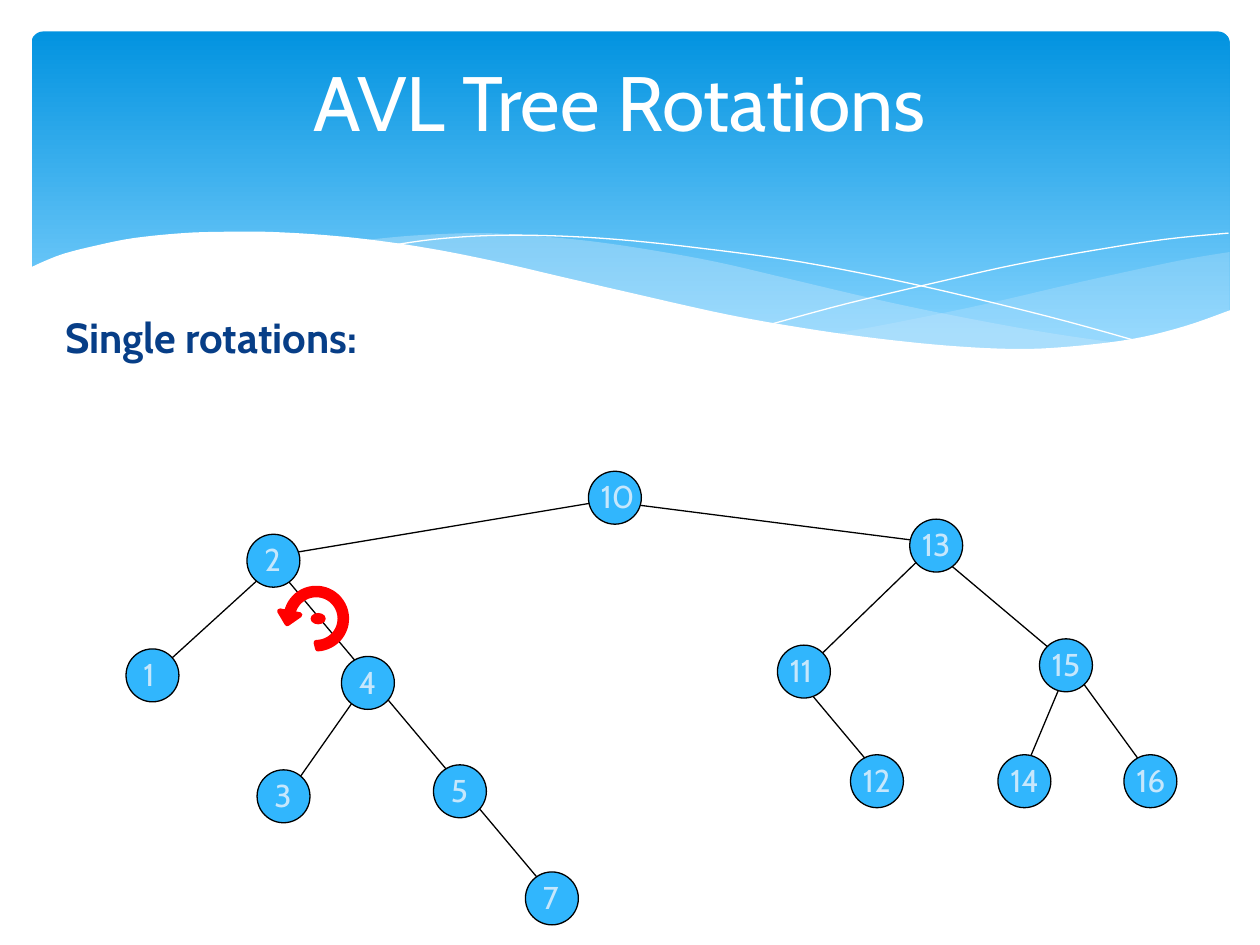
from math import cos, radians, sin

from lxml.etree import SubElement
from pptx import Presentation
from pptx.dml.color import RGBColor
from pptx.enum.shapes import MSO_CONNECTOR as CONN, MSO_SHAPE as SHAPE
from pptx.enum.text import MSO_ANCHOR as ANCHOR, PP_ALIGN as ALIGN
from pptx.oxml.ns import qn
from pptx.util import Inches, Pt

WHITE = RGBColor(0xFF, 0xFF, 0xFF)
BLACK = RGBColor(0x00, 0x00, 0x00)
RED = RGBColor(0xFF, 0x00, 0x00)
NAVY = RGBColor(0x07, 0x3E, 0x87)
SKY = RGBColor(0x31, 0xB6, 0xFD)
PALE = RGBColor(0xC6, 0xE7, 0xFC)
BANNER_TOP = RGBColor(0x02, 0x93, 0xE0)
BANNER_END = RGBColor(0x83, 0xD3, 0xFE)
FONT = "Cabin"

# Text boxes: text, box, format
TITLE = ("AVL Tree Rotations", (0.67, 0.17, 8.5, 1.25),
         dict(size=Pt(44), color=WHITE))
SUBTITLE = ("Single rotations:", (0.42, 2.42, 3.83, 0.67),
            dict(size=Pt(24), color=NAVY, bold=True))

# Tree: key -> left, top of its circle
NODE = 0.42
NODES = {
    10: (4.67, 3.74), 13: (7.22, 4.12), 15: (8.25, 5.07), 2: (1.96, 4.24),
    11: (6.17, 5.12), 1: (1, 5.15), 4: (2.71, 5.21), 5: (3.44, 6.07),
    12: (6.75, 5.99), 14: (7.92, 5.99), 16: (8.92, 5.99), 3: (2.04, 6.11),
    7: (4.17, 6.92),
}
EDGES = [
    ((2.92, 5.4), (2.33, 6.24)),   # 4 - 3
    ((2.17, 4.49), (1.17, 5.4)),   # 2 - 1
    ((8.5, 5.29), (9.17, 6.21)),   # 15 - 16
    ((6.33, 5.38), (7, 6.18)),     # 11 - 12
    ((4.92, 3.99), (7.5, 4.32)),   # 10 - 13
    ((2.25, 4.4), (4.89, 3.96)),   # 2 - 10
    ((8.5, 5.24), (8.08, 6.24)),   # 15 - 14
    ((2.11, 4.4), (4.42, 7.15)),   # 2 - 4 - 5 - 7
    ((7.42, 4.32), (6.5, 5.21)),   # 13 - 11
    ((7.42, 4.38), (8.5, 5.29)),   # 13 - 15
]

# Banner waves: each curve is smoothed through its points
RIGHT_SWELL = [
    [(9.76, 2), (9.35, 2.07), (8.61, 2.23), (7.79, 2.42), (7.06, 2.57), (6.61, 2.65)],
    [(6.61, 2.65), (7.05, 2.71), (7.57, 2.76), (8.03, 2.78), (8.54, 2.76),
     (8.97, 2.7), (9.35, 2.62), (9.76, 2.47)],
]
LONG_SWELL = [
    [(8.93, 2.73), (8.37, 2.65), (7.75, 2.54), (7.06, 2.4), (6.29, 2.22),
     (5.69, 2.08), (5.14, 1.98), (4.65, 1.91), (4.2, 1.87), (3.8, 1.85),
     (3.28, 1.87), (2.86, 1.91)],
    [(2.86, 1.91), (3.42, 1.99), (4.04, 2.11), (4.49, 2.22), (5.3, 2.4),
     (6.01, 2.55), (6.65, 2.66), (7.22, 2.74), (7.73, 2.77), (8.18, 2.78),
     (8.57, 2.77), (8.93, 2.73)],
]
FALLING_LINE = [[(3.09, 1.95), (3.44, 1.9), (3.87, 1.87), (4.33, 1.87), (4.89, 1.9),
                 (5.56, 1.97), (6.36, 2.08), (7.27, 2.26), (8.31, 2.51), (9.07, 2.72)]]
RISING_LINE = [[(6.13, 2.57), (6.72, 2.41), (7.48, 2.23), (8.06, 2.1), (8.66, 1.99),
                (9.24, 1.9), (9.75, 1.85)]]
WHITE_WAVE = [
    [(9.77, 2.46), (9.4, 2.59), (8.99, 2.69), (8.5, 2.75), (8.09, 2.77), (7.61, 2.75),
     (7.08, 2.7), (6.48, 2.62), (5.79, 2.5), (5.03, 2.33), (4.47, 2.2), (3.91, 2.07),
     (3.4, 1.97), (2.92, 1.9), (2.5, 1.86), (2.11, 1.84), (1.77, 1.84), (1.46, 1.85),
     (1.06, 1.89), (0.76, 1.95), (0.52, 2.01), (0.36, 2.07), (0.23, 2.13)],
    [(0.23, 3.29), (9.77, 3.29)],
]
WAVES = [  # curves, fill, opacity in percent (no fill: white hairline)
    (RIGHT_SWELL, PALE, 29), (LONG_SWELL, PALE, 40),
    (FALLING_LINE, None, 100), (RISING_LINE, None, 100), (WHITE_WAVE, WHITE, 100),
]

# Rotation arrow
PIVOT = (2.51, 4.91)
OUTER, INNER = 0.24, 0.19
ARROW_HEAD = [(2.22, 4.85), (2.28, 4.95), (2.38, 4.88)]


def smooth(pts, steps=5):
    """Catmull-Rom curve through pts."""
    ext = [pts[0], *pts, pts[-1]]
    out = [pts[0]]
    for a, b, c, d in zip(ext, ext[1:], ext[2:], ext[3:]):
        for t in (k / steps for k in range(1, steps + 1)):
            out.append(tuple(
                (2 * q + (r - p) * t + (2 * p - 5 * q + 4 * r - s) * t ** 2
                 + (3 * q - p - 3 * r + s) * t ** 3) / 2
                for p, q, r, s in zip(a, b, c, d)))
    return out


def arc(radius, start, end, steps=40):
    angles = [radians(start + (end - start) * k / steps) for k in range(steps + 1)]
    return [(PIVOT[0] + radius * cos(a), PIVOT[1] + radius * sin(a)) for a in angles]


def style(sp, fill, line=None, width=0.75):
    sp.shadow.inherit = False
    if fill is None:
        sp.fill.background()
    else:
        sp.fill.solid()
        sp.fill.fore_color.rgb = fill
    if line is None:
        sp.line.fill.background()
    else:
        sp.line.color.rgb = line
        sp.line.width = Pt(width)


def add_outline(shapes, pts, close):
    pts = [(Inches(x), Inches(y)) for x, y in pts]
    builder = shapes.build_freeform(*pts[0])
    builder.add_line_segments(pts[1:], close=close)
    return builder.convert_to_shape()


def add_text(shapes, text, box, fmt, align=ALIGN.LEFT, anchor=ANCHOR.TOP):
    tf = shapes.add_textbox(*map(Inches, box)).text_frame
    tf.word_wrap = True
    tf.vertical_anchor = anchor
    p = tf.paragraphs[0]
    p.alignment = align
    r = p.add_run()
    r.text = text
    r.font.name = FONT
    for name, value in fmt.items():
        if name == "color":
            r.font.color.rgb = value
        else:
            setattr(r.font, name, value)


prs = Presentation()
prs.slide_width, prs.slide_height = Inches(10), Inches(7.5)
shapes = prs.slides.add_slide(prs.slide_layouts[6]).shapes

# Banner
banner = shapes.add_shape(SHAPE.ROUNDED_RECTANGLE, *map(Inches, (0.25, 0.25, 9.51, 2.7)))
banner.adjustments[0] = 0.034
style(banner, None)
banner.fill.gradient()
banner.fill.gradient_angle = 270
for stop, (color, pos) in zip(banner.fill.gradient_stops,
                              [(BANNER_TOP, 0), (BANNER_END, 0.9)]):
    stop.color.rgb = color
    stop.position = pos

for curves, fill, opacity in WAVES:
    pts = [pt for curve in curves for pt in smooth(curve)]
    sp = add_outline(shapes, pts, close=fill is not None)
    style(sp, fill, None if fill else WHITE, 0)
    if opacity < 100:
        clr = sp.fill._xPr.find(qn("a:solidFill"))[0]
        SubElement(clr, qn("a:alpha"), val=str(opacity * 1000))

# Headings
add_text(shapes, *TITLE, align=ALIGN.CENTER, anchor=ANCHOR.MIDDLE)
add_text(shapes, *SUBTITLE)

# Tree edges
for start, end in EDGES:
    edge = shapes.add_connector(CONN.STRAIGHT, *map(Inches, start + end))
    edge.line.color.rgb = BLACK
    edge.line.width = Pt(0.75)
    SubElement(edge._element.spPr, qn("a:effectLst"))

# Tree nodes
for key, (x, y) in NODES.items():
    node = shapes.add_shape(SHAPE.OVAL, *map(Inches, (x, y, NODE, NODE)))
    style(node, SKY, BLACK)
    shift = 0.04 if key < 10 else 0
    add_text(shapes, str(key), (x + shift, y, 0.5, 0.4), dict(size=Pt(18), color=PALE))

# Rotation arrow and its pivot
ring = arc(INNER, 192, 450) + arc(OUTER, 447, 192) + ARROW_HEAD
style(add_outline(shapes, ring, close=True), RED, RED, 3)
dot = shapes.add_shape(SHAPE.OVAL, *map(Inches, (2.47, 4.87, 0.11, 0.08)))
style(dot, RED, RED)

prs.save("out.pptx")
